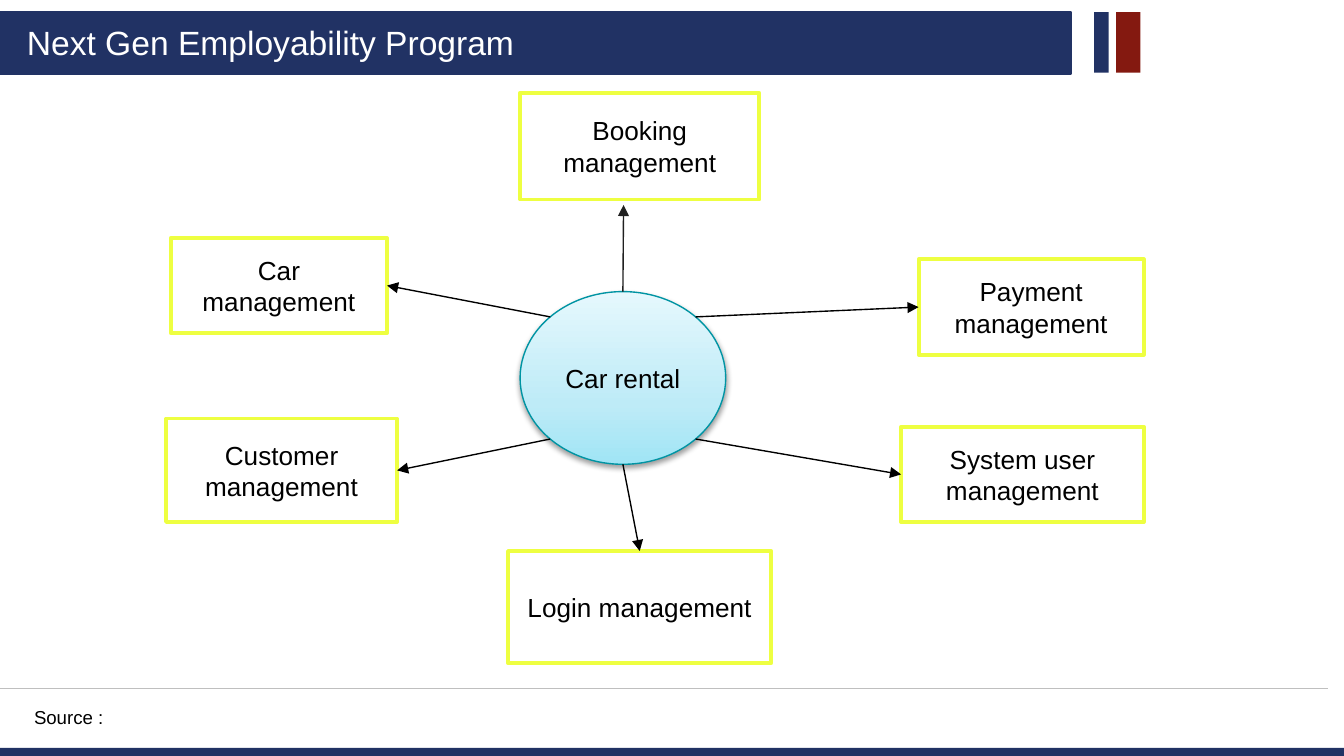
"""Build the car rental module diagram slide."""
from copy import deepcopy
from dataclasses import dataclass
from math import cos, radians, sin
from typing import Optional

from lxml.etree import SubElement
from pptx import Presentation
from pptx.dml.color import RGBColor
from pptx.enum.shapes import MSO_CONNECTOR, MSO_SHAPE
from pptx.enum.text import MSO_ANCHOR, MSO_AUTO_SIZE, PP_ALIGN
from pptx.oxml.ns import qn
from pptx.util import Inches, Pt

CELL = Inches(0.1)
COLUMNS, ROWS = 100, 56.25
TOP, LEFT, BOTTOM, RIGHT = range(4)
FONT = "Arial"
COLORS = {
    "navy": "213264", "maroon": "841910", "white": "FFFFFF", "black": "000000",
    "rule": "BFBFBF", "highlight": "EEFF41", "teal": "0094A3", "charcoal": "202020",
    "hub_low": "A0E5F5", "hub_middle": "BEEBF7", "hub_high": "E5F8FD",
}
HUB_GRADIENT = [(0, "hub_low"), (0.35, "hub_middle"), (1, "hub_high")]


@dataclass(frozen=True)
class Box:
    column: float
    row: float
    columns: float
    rows: float

    def emu(self) -> list[int]:
        return [round(cells * CELL) for cells in (self.column, self.row, self.columns, self.rows)]

    def rim_point(self, degrees: float) -> tuple[float, float]:
        angle = radians(degrees)
        return (self.column + self.columns / 2 * (1 + cos(angle)),
                self.row + self.rows / 2 * (1 + sin(angle)))


@dataclass(frozen=True)
class Module:
    label: str
    box: Box
    rim_degrees: float
    side: Optional[int] = None
    arrow_tip: tuple[float, float] = (0, 0)
    arrow_color: str = "black"


HUB = Box(38.7, 21.7, 15.3, 12.85)
MODULES = [
    Module("Customer management", Box(12.35, 31.15, 17.2, 7.7), 135, RIGHT),
    Module("Car management", Box(12.7, 17.7, 16.1, 7.1), 225, RIGHT),
    Module("Booking management", Box(38.7, 6.9, 17.8, 7.95), 270,
           arrow_tip=(46.4, 15.25), arrow_color="charcoal"),
    Module("Payment management", Box(68.35, 19.3, 16.75, 7.1), 315, LEFT),
    Module("Login management", Box(37.8, 41, 19.6, 8.35), 90, TOP),
    Module("System user management", Box(67.05, 31.75, 18.05, 7.1), 45, LEFT),
]
BARS = [
    (Box(83.05, 0.9, 1.8, 4.5), "maroon"),
    (Box(81.4, 0.9, 1.1, 4.5), "navy"),
    (Box(0, 55.65, COLUMNS, ROWS - 55.65), "navy"),
]


def rgb(name: str) -> RGBColor:
    return RGBColor.from_string(COLORS[name])


def write(shape, text: str, size: float, color: str = "black", align=PP_ALIGN.LEFT,
          anchor=MSO_ANCHOR.TOP) -> None:
    frame = shape.text_frame
    frame.text = text
    frame.word_wrap = True
    frame.vertical_anchor = anchor
    paragraph = frame.paragraphs[0]
    paragraph.alignment = align
    font = paragraph.runs[0].font
    font.name, font.size = FONT, Pt(size)
    font.color.rgb = rgb(color)


def add_block(slide, box: Box, fill: str, outline: Optional[str] = None, width: float = 2,
              geometry=MSO_SHAPE.RECTANGLE):
    block = slide.shapes.add_shape(geometry, *box.emu())
    block.shadow.inherit = False
    block.fill.solid()
    block.fill.fore_color.rgb = rgb(fill)
    if outline:
        block.line.color.rgb = rgb(outline)
        block.line.width = Pt(width)
    else:
        block.line.fill.background()
    return block


def add_line(slide, start: tuple[float, float], end: tuple[float, float], color: str,
             arrow: bool = False):
    points = [round(cells * CELL) for cells in (*start, *end)]
    line = slide.shapes.add_connector(MSO_CONNECTOR.STRAIGHT, *points)
    line.line.color.rgb = rgb(color)
    line.line.width = Pt(0.75)
    properties = line.element.spPr
    if arrow:
        SubElement(properties.find(qn("a:ln")), qn("a:tailEnd"), type="triangle")
    SubElement(properties, qn("a:effectLst"))
    return line


def add_title(slide, text: str) -> None:
    banner = add_block(slide, Box(0, 0.95, 79.65, 4.5), "navy", "navy")
    title = slide.shapes.title
    title.left, title.top, title.width, title.height = Box(1, 1.15, 43.2, 4).emu()
    write(title, text, 18, "white")
    title.text_frame.auto_size = MSO_AUTO_SIZE.SHAPE_TO_FIT_TEXT
    banner.element.addnext(title.element)


def add_source(slide, text: str) -> None:
    source = slide.shapes.add_textbox(*Box(1.55, 51.7, 7.7, 3.5).emu())
    write(source, text, 10)
    frame = source.text_frame
    frame.margin_left = frame.margin_right = frame.margin_top = frame.margin_bottom = CELL


def add_hub(slide, text: str) -> None:
    hub = add_block(slide, HUB, "white", "teal", 0.75, MSO_SHAPE.OVAL)
    hub.fill.gradient()
    hub.fill.gradient_angle = 90
    properties = hub.element.spPr
    stop_list = properties.find(".//" + qn("a:gsLst"))
    stop_list.insert(1, deepcopy(stop_list[0]))
    for stop, (position, color) in zip(hub.fill.gradient_stops, HUB_GRADIENT):
        stop.position = position
        stop.color.rgb = rgb(color)
    shadow = SubElement(properties.find(qn("a:effectLst")), qn("a:outerShdw"),
                        blurRad=str(Pt(3.1)), dist=str(Pt(1.6)), dir="5400000", rotWithShape="0")
    shade = SubElement(shadow, qn("a:srgbClr"), val=COLORS["black"])
    SubElement(shade, qn("a:alpha"), val="38000")
    write(hub, text, 14, align=PP_ALIGN.CENTER, anchor=MSO_ANCHOR.MIDDLE)


def add_module(slide, module: Module):
    block = add_block(slide, module.box, "white", "highlight")
    write(block, module.label, 14, align=PP_ALIGN.CENTER, anchor=MSO_ANCHOR.MIDDLE)
    return block


def add_arrow(slide, module: Module, block) -> None:
    arrow = add_line(slide, HUB.rim_point(module.rim_degrees), module.arrow_tip,
                     module.arrow_color, arrow=True)
    if module.side is not None:
        arrow.end_connect(block, module.side)


def main() -> None:
    deck = Presentation()
    deck.slide_width, deck.slide_height = round(COLUMNS * CELL), round(ROWS * CELL)
    slide = deck.slides.add_slide(deck.slide_layouts[5])
    for box, color in BARS:
        add_block(slide, box, color)
    add_title(slide, "Next Gen Employability Program")
    add_line(slide, (0, 51.25), (98.8, 51.25), "rule")
    add_source(slide, "Source :")
    add_hub(slide, "Car rental")
    blocks = [add_module(slide, module) for module in MODULES]
    for module, block in zip(MODULES, blocks):
        add_arrow(slide, module, block)
    deck.save("out.pptx")


if __name__ == "__main__":
    main()
